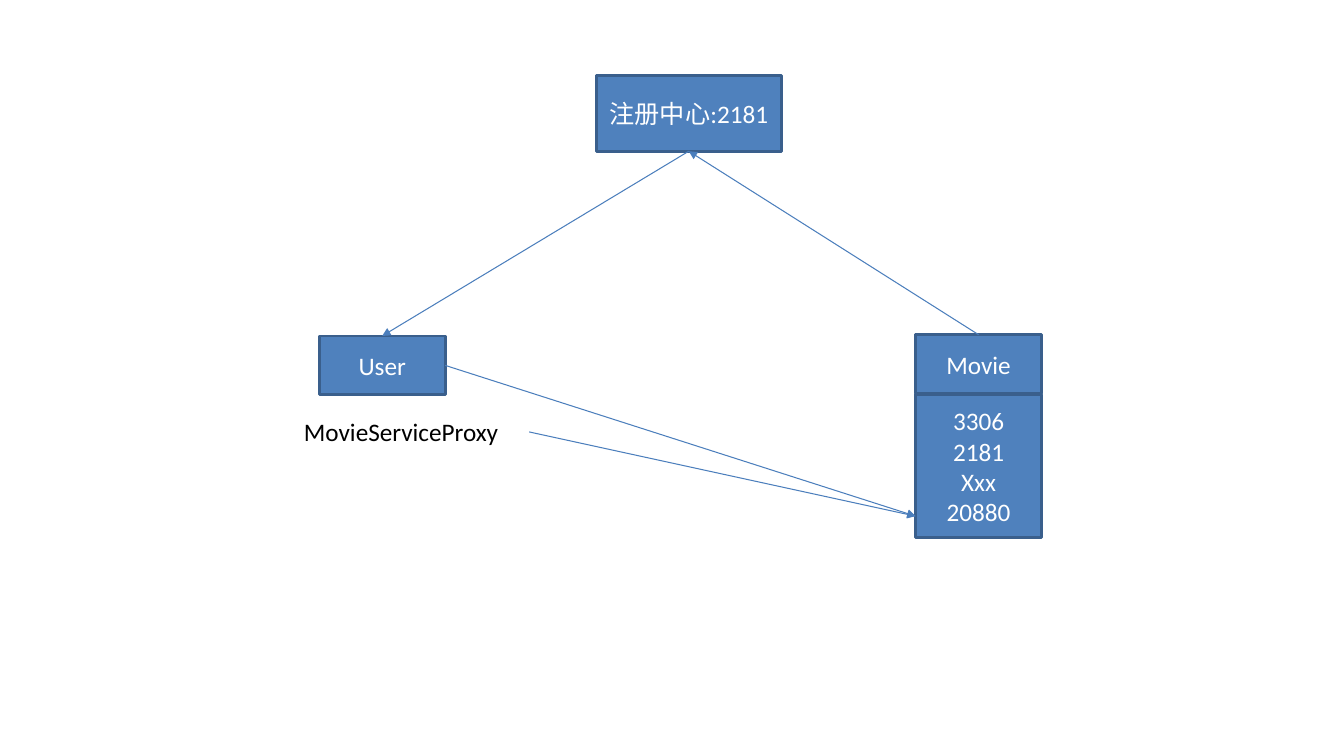
from dataclasses import dataclass

from lxml import etree
from pptx import Presentation
from pptx.dml.color import RGBColor
from pptx.enum.shapes import MSO_CONNECTOR, MSO_SHAPE
from pptx.enum.text import MSO_ANCHOR, PP_ALIGN
from pptx.oxml.ns import qn
from pptx.util import Inches, Pt

RECT = MSO_SHAPE.RECTANGLE
LINE = MSO_CONNECTOR.STRAIGHT
LEFT, CENTER = PP_ALIGN.LEFT, PP_ALIGN.CENTER
TOP, MIDDLE = MSO_ANCHOR.TOP, MSO_ANCHOR.MIDDLE

BLUE = RGBColor(0x4F, 0x81, 0xBD)
EDGE = RGBColor(0x3A, 0x5F, 0x8C)
ARROW = RGBColor(0x4B, 0x7E, 0xBC)
WHITE = RGBColor(0xFF, 0xFF, 0xFF)
BLACK = RGBColor(0x00, 0x00, 0x00)

FONT = "Calibri"
COLS, ROWS = 160, 90
WIDTH, HEIGHT = Inches(13.333), Inches(7.5)

Point = tuple[float, float]


@dataclass(frozen=True)
class Box:
    """A rectangle in grid columns and rows."""
    text: str
    col: float
    row: float
    wide: float
    high: float

    def at(self, x: float, y: float) -> Point:
        """Point at the given shares of the width and height."""
        return self.col + x * self.wide, self.row + y * self.high


def across(col: float) -> int:
    return round(WIDTH * col / COLS)


def down(row: float) -> int:
    return round(HEIGHT * row / ROWS)


def place(box: Box) -> tuple[int, int, int, int]:
    return across(box.col), down(box.row), across(box.wide), down(box.high)


def write(frame, text: str, *, color: RGBColor, align=LEFT, anchor=TOP,
          size: float = 18) -> None:
    frame.word_wrap = True
    frame.vertical_anchor = anchor
    frame.text = text
    for para in frame.paragraphs:
        para.alignment = align
        para.font.name = FONT
        para.font.size = Pt(size)
        para.font.color.rgb = color


def draw_box(slide, box: Box) -> None:
    shape = slide.shapes.add_shape(RECT, *place(box))
    shape.shadow.inherit = False
    shape.fill.solid()
    shape.fill.fore_color.rgb = BLUE
    shape.line.color.rgb = EDGE
    shape.line.width = Pt(2)
    write(shape.text_frame, box.text, color=WHITE, align=CENTER, anchor=MIDDLE)


def draw_label(slide, box: Box) -> None:
    shape = slide.shapes.add_textbox(*place(box))
    write(shape.text_frame, box.text, color=BLACK)


def draw_arrow(slide, start: Point, end: Point) -> None:
    link = slide.shapes.add_connector(
        LINE, across(start[0]), down(start[1]), across(end[0]), down(end[1]))
    link.line.color.rgb = ARROW
    link.line.width = Pt(0.75)
    props = link._element.spPr
    etree.SubElement(props.find(qn("a:ln")), qn("a:tailEnd"), type="triangle")
    etree.SubElement(props, qn("a:effectLst"))


def main() -> None:
    deck = Presentation()
    deck.slide_width, deck.slide_height = WIDTH, HEIGHT
    slide = deck.slides.add_slide(deck.slide_layouts[6])

    user = Box("User", 38, 40, 15, 7)
    movie = Box("Movie", 109, 39.85, 15, 7)
    center = Box("注册中心:2181", 71, 9, 22, 9)
    ports = Box("3306\n2181\nXxx\n20880", 109, 47, 15, 17)
    proxy = Box("MovieServiceProxy", 35, 49, 28, 4.85)

    for box in (user, movie, center, ports):
        draw_box(slide, box)
    draw_label(slide, proxy)

    hub = center.at(0.5, 1)
    port = ports.at(0, 0.85)
    for start, end in (
        (movie.at(0.5, 0), hub),
        (hub, user.at(0.5, 0)),
        (user.at(1, 0.5), port),
        (proxy.at(1, 0.5), port),
    ):
        draw_arrow(slide, start, end)

    deck.save("out.pptx")


if __name__ == "__main__":
    main()
